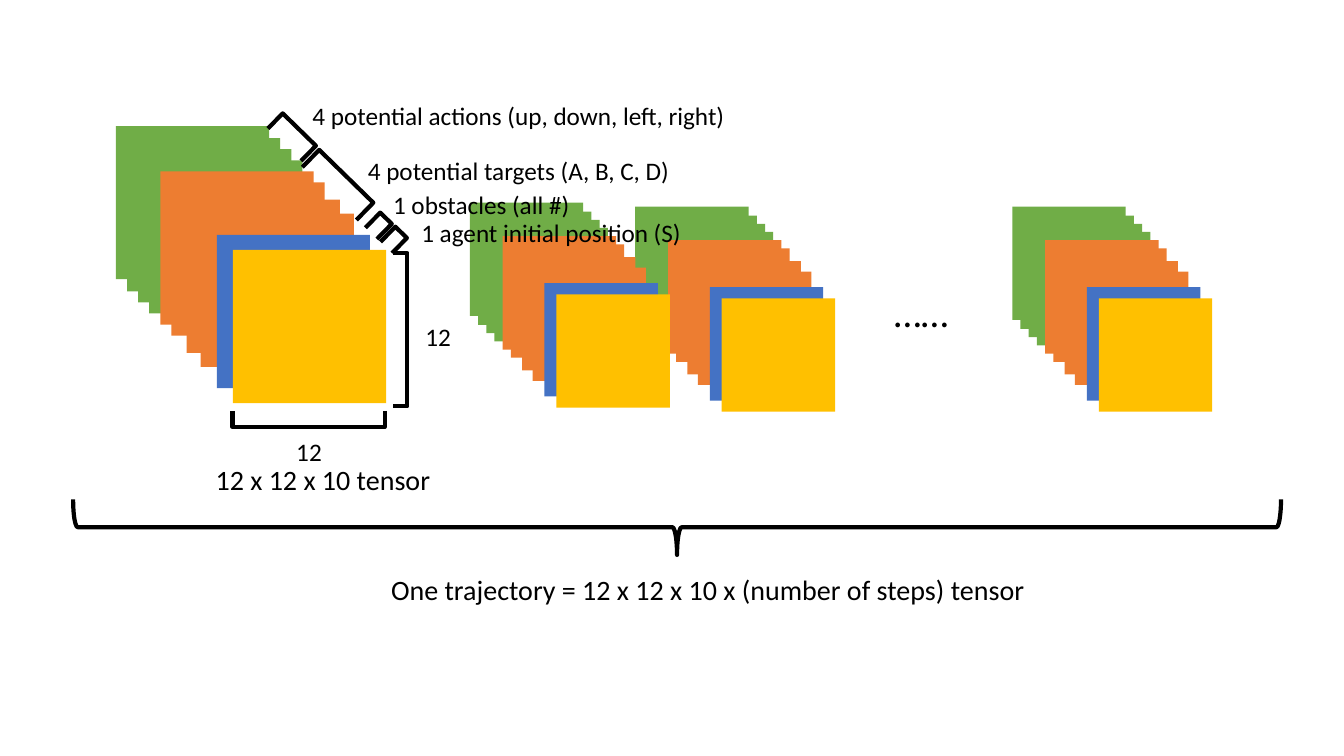
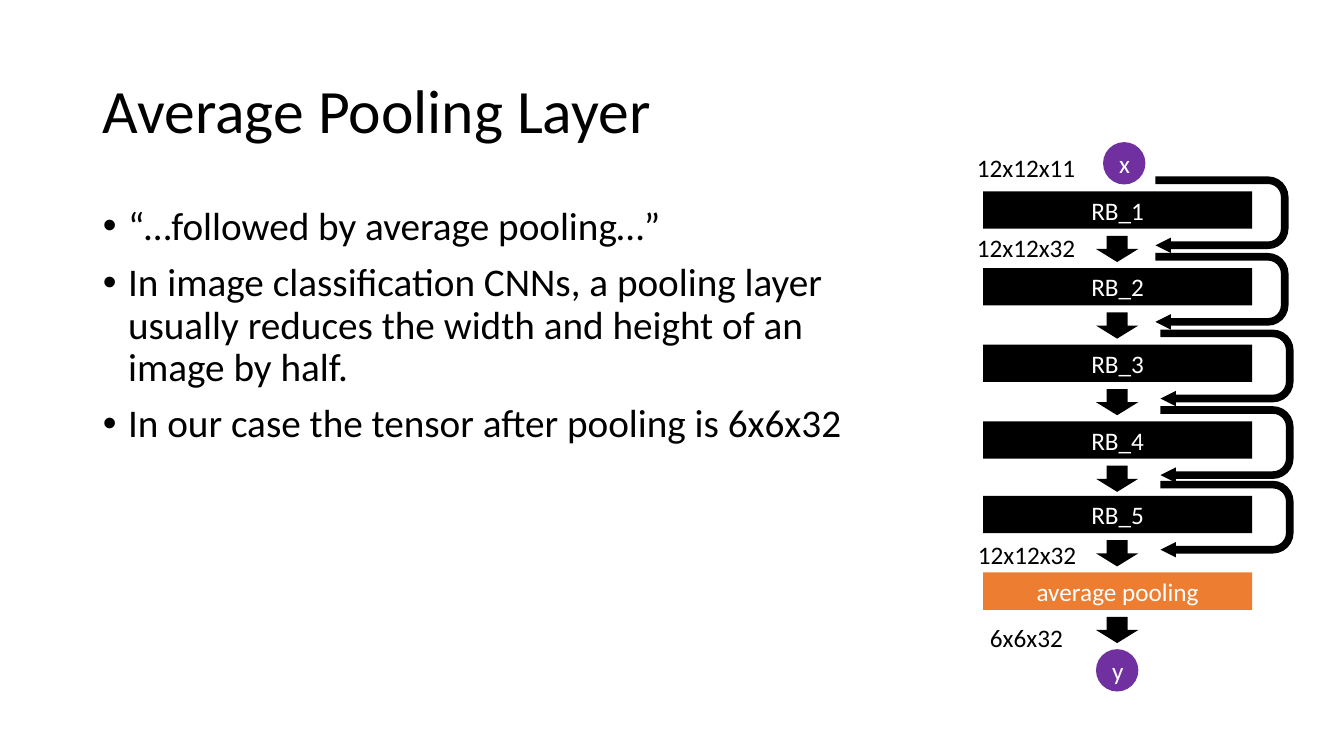
from pptx import Presentation
from pptx.dml.color import RGBColor
from pptx.enum.shapes import MSO_SHAPE
from pptx.enum.text import MSO_ANCHOR, MSO_AUTO_SIZE, PP_ALIGN
from pptx.util import Inches, Pt

RECTANGLE = MSO_SHAPE.RECTANGLE
OVAL = MSO_SHAPE.OVAL
DOWN_ARROW = MSO_SHAPE.DOWN_ARROW
U_TURN_ARROW = MSO_SHAPE.U_TURN_ARROW
LEFT_BRACKET = MSO_SHAPE.LEFT_BRACKET
LEFT_BRACE = MSO_SHAPE.LEFT_BRACE
MIDDLE, TOP = MSO_ANCHOR.MIDDLE, MSO_ANCHOR.TOP
FIT_SHAPE, NO_FIT = MSO_AUTO_SIZE.SHAPE_TO_FIT_TEXT, MSO_AUTO_SIZE.NONE
LEFT, CENTER = PP_ALIGN.LEFT, PP_ALIGN.CENTER

BLACK = RGBColor(0x00, 0x00, 0x00)
WHITE = RGBColor(0xFF, 0xFF, 0xFF)
GREEN = RGBColor(0x70, 0xAD, 0x47)
ORANGE = RGBColor(0xED, 0x7D, 0x31)
BLUE = RGBColor(0x44, 0x72, 0xC4)
GOLD = RGBColor(0xFF, 0xC0, 0x00)
PURPLE = RGBColor(0x70, 0x30, 0xA0)
FONT = "Calibri"

TITLE_LAYOUT, BLANK_LAYOUT = 1, 6
LAYER_SIDE = 1.52
LAYERS = [
    (0, 0, GREEN), (0.11, 0.12, GREEN), (0.22, 0.23, GREEN), (0.33, 0.34, GREEN),
    (0.44, 0.45, ORANGE), (0.55, 0.56, ORANGE), (0.7, 0.73, ORANGE), (0.84, 0.87, ORANGE),
    (1, 1.08, BLUE), (1.16, 1.23, GOLD),
]


class Deck:
    """Holds the shared style and the slide being drawn."""

    def __init__(self):
        self.presentation = Presentation()
        self.presentation.slide_width = Inches(13.33)
        self.presentation.slide_height = Inches(7.5)
        self.slide = None

    def new_slide(self, layout):
        layouts = self.presentation.slide_layouts
        self.slide = self.presentation.slides.add_slide(layouts[layout])

    def add_text(self, paragraph, text, size, color=BLACK, alignment=LEFT):
        paragraph.alignment = alignment
        run = paragraph.add_run()
        run.text = text
        run.font.name = FONT
        run.font.size = Pt(size)
        run.font.color.rgb = color

    def place(self, shape, left, top, width, height):
        shape.left, shape.top = Inches(left), Inches(top)
        shape.width, shape.height = Inches(width), Inches(height)

    def title(self, text, *box):
        shape = self.slide.shapes.title
        self.place(shape, *box)
        shape.text_frame.vertical_anchor = MIDDLE
        paragraph = shape.text_frame.paragraphs[0]
        paragraph.line_spacing = 0.9
        self.add_text(paragraph, text, 44)

    def bullets(self, items, *box):
        shape = self.slide.placeholders[1]
        self.place(shape, *box)
        frame = shape.text_frame
        frame.auto_size = NO_FIT
        frame.vertical_anchor = TOP
        for index, item in enumerate(items):
            paragraph = frame.add_paragraph() if index else frame.paragraphs[0]
            paragraph.line_spacing = 0.9
            paragraph.space_before = Pt(10)
            self.add_text(paragraph, item, 28)
            properties = paragraph._p.get_or_add_pPr()
            properties.set("marL", str(Inches(0.25)))
            properties.set("indent", str(Inches(-0.25)))

    def label(self, text, left, top, width, height=0.4, size=18, wrap=False):
        box = [Inches(length) for length in (left, top, width, height)]
        frame = self.slide.shapes.add_textbox(*box).text_frame
        frame.word_wrap = wrap
        frame.auto_size = FIT_SHAPE
        self.add_text(frame.paragraphs[0], text, size)

    def block(self, kind, left, top, width, height, color, text="", group=None):
        shapes = group.shapes if group else self.slide.shapes
        box = [Inches(length) for length in (left, top, width, height)]
        shape = shapes.add_shape(kind, *box)
        shape.shadow.inherit = False
        shape.fill.solid()
        shape.fill.fore_color.rgb = color
        shape.line.fill.background()
        if text:
            shape.text_frame.vertical_anchor = MIDDLE
            self.add_text(shape.text_frame.paragraphs[0], text, 18, WHITE, CENTER)
        return shape

    def bracket(self, kind, rotation, *box):
        shape = self.slide.shapes.add_shape(kind, *[Inches(length) for length in box])
        shape.shadow.inherit = False
        shape.fill.background()
        shape.line.color.rgb = BLACK
        shape.line.width = Pt(3)
        shape.rotation = rotation
        if kind == LEFT_BRACKET:
            shape.adjustments[0] = 0

    def layer_stack(self, left, top, scale):
        group = self.slide.shapes.add_group_shape()
        side = LAYER_SIDE * scale
        for across, down, color in LAYERS:
            self.block(RECTANGLE, left + across * scale, top + down * scale,
                       side, side, color, group=group)

    def skip_arrow(self, left, top):
        arrow = self.block(U_TURN_ARROW, left, top, 0.76, 1.32, BLACK)
        arrow.rotation = 90
        for index, value in enumerate((0.1, 0.1, 0.2, 0.27, 1)):
            arrow.adjustments[index] = value


def trajectory_slide(deck):
    deck.new_slide(BLANK_LAYOUT)
    for left, top, scale in ((10.04, 2.05, 0.74), (6.3, 2.05, 0.74),
                             (4.66, 2.01, 0.74), (1.15, 1.25, 1)):
        deck.layer_stack(left, top, scale)
    for rotation, *box in (
        (270, 2.98, 3.4, 0.16, 1.51),
        (180, 3.9, 2.51, 0.14, 1.52),
        (134.3, 2.79, 1.13, 0.21, 0.46),
        (134.3, 3.23, 1.46, 0.24, 0.75),
        (134.3, 3.65, 2.16, 0.21, 0.16),
        (134.3, 3.8, 2.3, 0.21, 0.16),
    ):
        deck.bracket(LEFT_BRACKET, rotation, *box)
    for text, left, top, width in (
        ("4 potential actions (up, down, left, right)", 3, 0.95, 4.35),
        ("4 potential targets (A, B, C, D)", 3.55, 1.49, 3.23),
        ("1 obstacles (all #)", 3.8, 1.83, 1.97),
        ("1 agent initial position (S)", 4.08, 2.11, 2.81),
        ("12", 4.12, 3.14, 0.46),
        ("12", 2.84, 4.28, 0.46),
    ):
        deck.label(text, left, top, width)
    deck.label("12 x 12 x 10 tensor", 2.04, 4.54, 2.35, 0.44, size=20)
    deck.label("……", 8.77, 2.81, 0.77, 0.57, size=28)
    deck.bracket(LEFT_BRACE, 270, 6.44, -0.76, 0.55, 11.98)
    deck.label("One trajectory = 12 x 12 x 10 x (number of steps) tensor",
               3.78, 5.63, 7.21, 0.44, size=20, wrap=True)


def pooling_slide(deck):
    deck.new_slide(TITLE_LAYOUT)
    deck.title("Average Pooling Layer", 0.92, 0.4, 11.5, 1.45)
    deck.bullets([
        "“…followed by average pooling…”",
        "In image classification CNNs, a pooling layer usually reduces "
        "the width and height of an image by half.",
        "In our case the tensor after pooling is 6x6x32",
    ], 0.92, 2, 7.7, 4.76)
    layers = [("RB_1", 1.9), ("RB_2", 2.66), ("RB_3", 3.42), ("RB_4", 4.18),
              ("RB_5", 4.92), ("average pooling", 5.68)]
    for index, (name, top) in enumerate(layers):
        residual = name.startswith("RB")
        deck.block(RECTANGLE, 9.75, top, 2.67, 0.37, BLACK if residual else ORANGE, name)
        deck.block(DOWN_ARROW, 10.87, top + 0.44, 0.42, 0.26, BLACK)
        if residual:
            deck.skip_arrow(11.74 if index < 2 else 11.79, top - 0.43)
    deck.block(OVAL, 10.94, 1.41, 0.42, 0.42, PURPLE, "x")
    deck.block(OVAL, 10.87, 6.44, 0.42, 0.42, PURPLE, "y")
    for text, left, top, width in (
        ("12x12x11", 9.59, 1.46, 1.19),
        ("12x12x32", 9.59, 2.26, 1.19),
        ("12x12x32", 9.6, 5.3, 1.19),
        ("6x6x32", 9.72, 6.12, 0.93),
    ):
        deck.label(text, left, top, width)


def main():
    deck = Deck()
    trajectory_slide(deck)
    pooling_slide(deck)
    deck.presentation.save("out.pptx")


if __name__ == "__main__":
    main()
